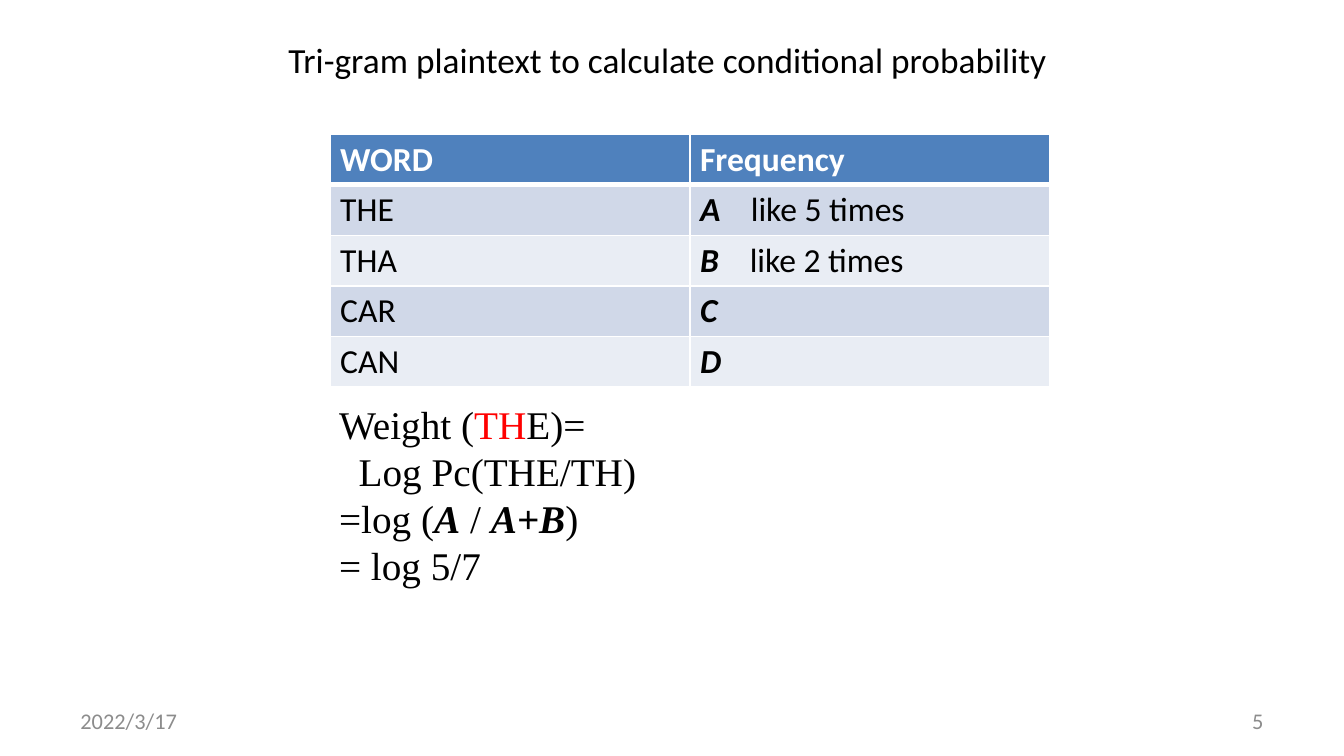
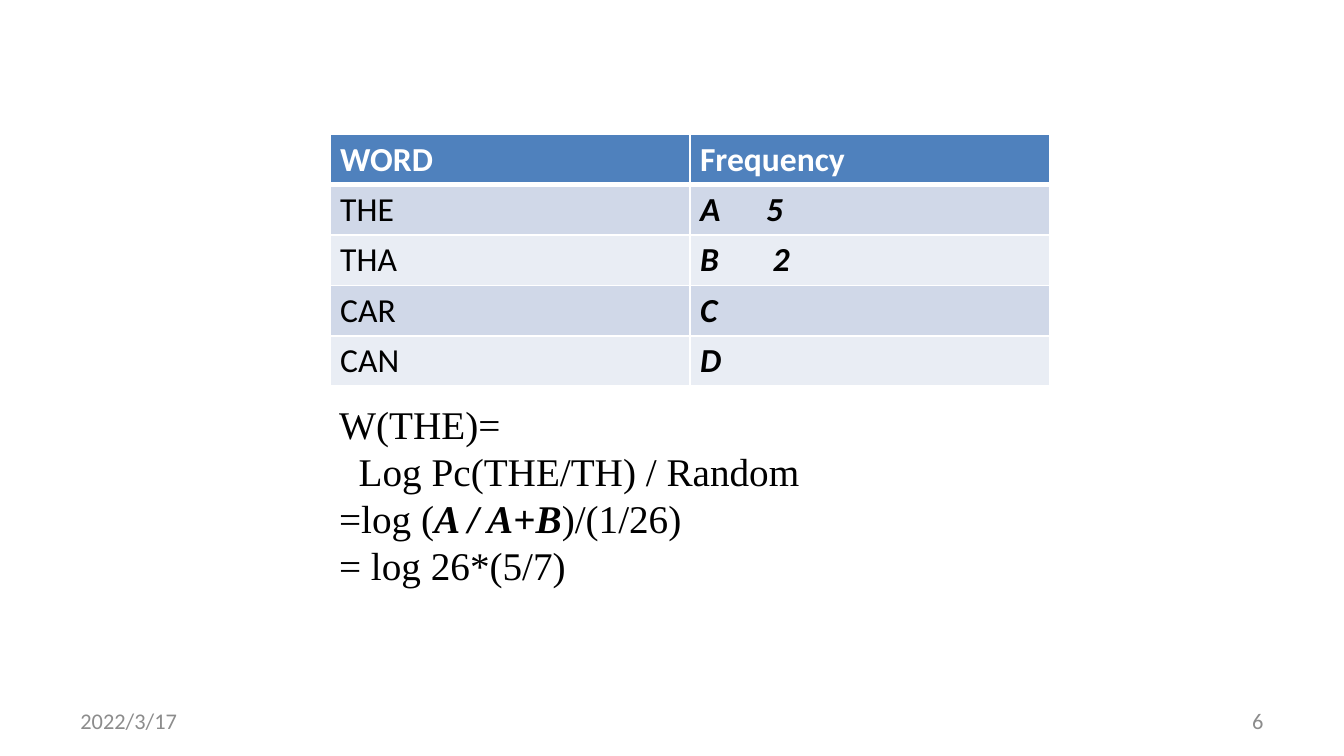
from lxml.etree import SubElement
from pptx import Presentation
from pptx.dml.color import RGBColor
from pptx.enum.shapes import MSO_SHAPE as Preset
from pptx.enum.text import MSO_ANCHOR as Anchor, PP_ALIGN as Align
from pptx.oxml.ns import qn
from pptx.util import Cm, Pt

BODY_FONT, FORMULA_FONT = "Calibri", "Times New Roman"
WHITE, BLACK, RED, GREY = "FFFFFF", "000000", "FF0000", "8C8C8C"
HEADER_BLUE, BANDS = "4F81BD", ("D0D8E8", "E9EDF4")
PADDING = (0.19, 0.09)
STRONG = {"bold": True, "italic": True}

# Regions in cm: left, top, width, height
TITLE_BOX = (4.6, 0.48, 16.2, 1.42)
TABLE_BOX = (6.24, 2.54, 13.6, 4.76)
FORMULA_BOX = (6.16, 7.44, 13.61, 3.84)
FOOTER_BOX = (1.27, 13.24, 22.86, 0.76)
FOOTER_FIELD_WIDTH = 5.92
CORNER_BOX = (23.24, 13.39, 2.11, 0.84)


def rgb(value):
    return RGBColor.from_string(value)


def write(paragraph, runs, size=18, font=BODY_FONT, color=BLACK, bold=False,
          italic=False, align=None, line_spacing=None, indent=0, tab=None):
    """Fill a paragraph with runs: plain strings or (text, overrides) pairs."""
    if align is not None:
        paragraph.alignment = align
    if line_spacing:
        paragraph.line_spacing = line_spacing
    properties = paragraph._p.get_or_add_pPr()
    if indent:
        properties.set("marL", str(Cm(indent)))
    if tab:
        stops = SubElement(properties, qn("a:tabLst"))
        SubElement(stops, qn("a:tab"), pos=str(Cm(tab)), algn="l")
    for piece in runs:
        text, changes = (piece, {}) if isinstance(piece, str) else piece
        look = {"color": color, "bold": bold, "italic": italic, **changes}
        run = paragraph.add_run()
        run.text = text
        run.font.name, run.font.size = font, Pt(size)
        run.font.bold, run.font.italic = look["bold"], look["italic"]
        run.font.color.rgb = rgb(look["color"])


def add_frame(slide, box, anchor=Anchor.TOP):
    frame = slide.shapes.add_textbox(*map(Cm, box)).text_frame
    frame.word_wrap = True
    frame.vertical_anchor = anchor
    return frame


def pad(target):
    across, down = map(Cm, PADDING)
    target.margin_left = target.margin_right = across
    target.margin_top = target.margin_bottom = down


def add_corner(slide, box):
    corner = slide.shapes.add_shape(Preset.RECTANGLE, *map(Cm, box))
    corner.shadow.inherit = False
    corner.fill.solid()
    corner.fill.fore_color.rgb = rgb(WHITE)
    corner.line.color.rgb = rgb(WHITE)
    corner.line.width = Pt(2)


def add_title(slide, box, title):
    frame = add_frame(slide, box, Anchor.MIDDLE)
    pad(frame)
    write(frame.paragraphs[0], [title], size=18.9, align=Align.CENTER,
          line_spacing=0.8)


def style_cell(cell, fill, bottom=1):
    pad(cell)
    properties = cell._tc.get_or_add_tcPr()
    for side, width in (("L", 1), ("R", 1), ("T", 1), ("B", bottom)):
        line = SubElement(properties, qn("a:ln" + side), w=str(Pt(width)))
        SubElement(SubElement(line, qn("a:solidFill")), qn("a:srgbClr"), val=WHITE)
    cell.fill.solid()
    cell.fill.fore_color.rgb = rgb(fill)


def add_frequency_table(slide, box, frequencies):
    left, top, width, height = map(Cm, box)
    table = slide.shapes.add_table(len(frequencies) + 1, 2, left, top,
                                   width, height).table
    table.horz_banding = False
    # Header
    for column, heading in enumerate(("WORD", "Frequency")):
        cell = table.cell(0, column)
        style_cell(cell, HEADER_BLUE, bottom=3)
        write(cell.text_frame.paragraphs[0], [heading], color=WHITE, bold=True)
    # Words and their counts
    for row, (word, count, tab) in enumerate(frequencies, 1):
        for column, runs in enumerate(([word], count)):
            cell = table.cell(row, column)
            style_cell(cell, BANDS[(row - 1) % 2])
            write(cell.text_frame.paragraphs[0], runs, tab=tab if column else None)


def add_formula(slide, box, steps):
    frame = add_frame(slide, box)
    for number, runs in enumerate(steps):
        paragraph = frame.add_paragraph() if number else frame.paragraphs[0]
        # The second step continues the first, so it is set in
        write(paragraph, runs, size=21, font=FORMULA_FONT,
              indent=0.37 if number == 1 else 0)


def add_footer(slide, box, date, number):
    left, top, width, height = box
    right_field = left + width - FOOTER_FIELD_WIDTH
    for x, text, align in ((left, date, Align.LEFT),
                           (right_field, str(number), Align.RIGHT)):
        frame = add_frame(slide, (x, top, FOOTER_FIELD_WIDTH, height), Anchor.MIDDLE)
        write(frame.paragraphs[0], [text], size=12, color=GREY, align=align)


def add_trigram_slide(deck, number, frequencies, steps, title=None):
    slide = deck.slides.add_slide(deck.slide_layouts[6])
    add_corner(slide, CORNER_BOX)
    add_frequency_table(slide, TABLE_BOX, frequencies)
    add_formula(slide, FORMULA_BOX, steps)
    add_footer(slide, FOOTER_BOX, "2022/3/17", number)
    if title:
        add_title(slide, TITLE_BOX, title)


def main():
    deck = Presentation()
    deck.slide_width, deck.slide_height = Cm(25.4), Cm(14.29)
    unseen = [("CAR", [("C", STRONG)], None), ("CAN", [("D", STRONG)], None)]

    # Conditional probability
    add_trigram_slide(
        deck, 5,
        [("THE", [("A", STRONG), "\tlike 5 times"], 0.96),
         ("THA", [("B", STRONG), "\tlike 2 times"], 0.94)] + unseen,
        [["Weight (", ("TH", {"color": RED}), "E)="],
         ["Log Pc(THE/TH)"],
         ["=log (", ("A", STRONG), " / ", ("A+B", STRONG), ")"],
         ["= log 5/7"]],
        title="Tri-gram plaintext to calculate conditional probability ")

    # Weight against a random letter
    add_trigram_slide(
        deck, 6,
        [("THE", [("A\t5", STRONG)], 1.25),
         ("THA", [("B\t2", STRONG)], 1.37)] + unseen,
        [["W(THE)="],
         ["Log Pc(THE/TH) / Random"],
         ["=log (", ("A / A+B", STRONG), ")/(1/26)"],
         ["= log 26*(5/7)"]])

    deck.save("out.pptx")


if __name__ == "__main__":
    main()
